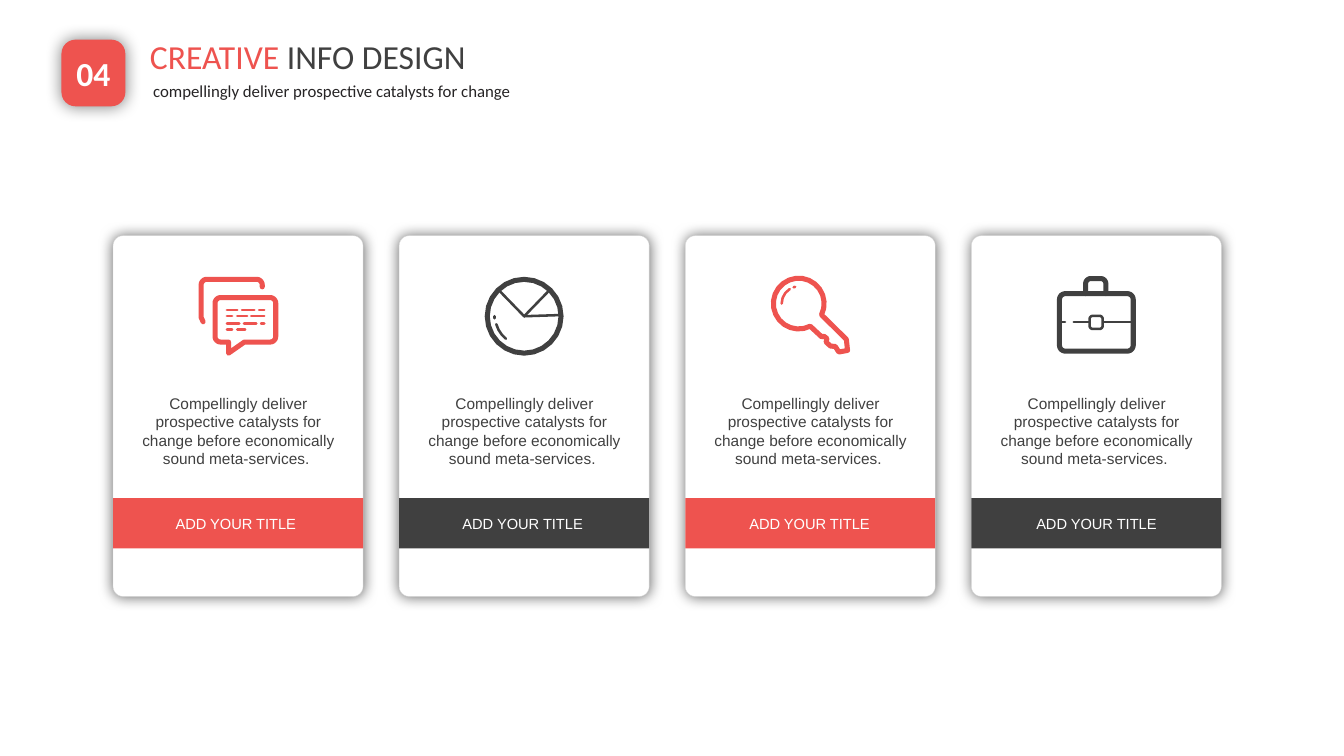
from math import cos, sin, radians
from lxml.etree import SubElement
from pptx import Presentation
from pptx.dml.color import RGBColor
from pptx.enum.shapes import MSO_SHAPE
from pptx.enum.text import MSO_ANCHOR, PP_ALIGN
from pptx.oxml.ns import qn
from pptx.util import Cm, Pt

COLORS = {
    "red": "EE534F",
    "dark": "404040",
    "ink": "262425",
    "white": "FFFFFF",
    "edge": "D9D9D9",
    "shadow": "000000",
}
RGB = {name: RGBColor.from_string(value) for name, value in COLORS.items()}
BOLD, THIN = 3.6, 1.8
CARD_X, CARD_Y, CARD_W, CARD_H, PITCH = 2.85, 5.94, 6.3, 9.09, 7.21
ICON_X, ICON_Y = 2.16, 6.98


def arc(cx, cy, r, start, end):
    steps = max(3, abs(end - start) // 15)
    angles = [radians(start + (end - start) * k / steps) for k in range(steps + 1)]
    return [(cx + r * cos(a), cy + r * sin(a)) for a in angles]


def add_text(box, runs, size, font, align, anchor=MSO_ANCHOR.TOP, wrap=True):
    tf = s.shapes.add_textbox(*[Cm(v) for v in box]).text_frame
    tf.word_wrap = wrap
    tf.vertical_anchor = anchor
    p = tf.paragraphs[0]
    p.alignment = align
    for text, color in runs:
        r = p.add_run()
        r.text = text
        r.font.size = Pt(size)
        r.font.name = font
        r.font.color.rgb = RGB[color]


chat_bold = [
    ([(0.11, 1.13), (0.06, 1.02)] + arc(0.2, 0.2, 0.14, 180, 270)
     + arc(1.46, 0.2, 0.14, 270, 360) + [(1.6, 0.25)], False),
    (arc(0.55, 0.66, 0.14, 180, 270) + arc(1.8, 0.66, 0.14, 270, 360)
     + arc(1.8, 1.5, 0.14, 0, 90) + [(1.15, 1.64), (0.75, 1.92), (0.75, 1.64)]
     + arc(0.55, 1.5, 0.14, 90, 180), True),
]
chat_rows = [
    (0.83, [(0.71, 0.97), (1.09, 1.4), (1.52, 1.65)]),
    (0.98, [(0.71, 0.84), (0.97, 1.22), (1.32, 1.65)]),
    (1.17, [(0.71, 1.02), (1.14, 1.45), (1.57, 1.65)]),
    (1.32, [(0.71, 0.84), (0.97, 1.17)]),
]
chat_thin = [([(x1, y), (x2, y)], False) for y, dashes in chat_rows for x1, x2 in dashes]

pie_bold = [(arc(0.99, 0.99, 0.93, 0, 345), True)]
pie_thin = [
    ([(0.36, 0.34), (0.99, 0.99), (1.62, 0.34)], False),
    ([(0.99, 0.99), (1.9, 0.96)], False),
    (arc(0.99, 0.99, 0.73, 129, 164), False),
    ([(0.24, 0.99), (0.24, 1.04)], False),
]

key_bold = [
    (arc(0.7, 0.67, 0.64, 63, 386)
     + [(1.29, 0.97), (1.9, 1.57), (1.93, 1.85), (1.71, 1.89), (1.62, 1.75),
        (1.5, 1.74), (1.39, 1.64), (1.41, 1.55), (1.33, 1.49), (1.28, 1.51)], True),
]
key_thin = [
    (arc(0.7, 0.67, 0.43, 180, 238), False),
    ([(0.57, 0.26), (0.61, 0.25)], False),
]

case_bold = [
    ([(0.72, 0.42)] + arc(0.85, 0.17, 0.13, 180, 270)
     + arc(1.1, 0.17, 0.13, 270, 360) + [(1.23, 0.42)], False),
    (arc(0.21, 0.57, 0.15, 180, 270) + arc(1.77, 0.57, 0.15, 270, 360)
     + arc(1.77, 1.72, 0.15, 0, 90) + arc(0.21, 1.72, 0.15, 90, 180), True),
]
case_thin = [
    (arc(0.9, 1.06, 0.08, 180, 270) + arc(1.07, 1.06, 0.08, 270, 360)
     + arc(1.07, 1.23, 0.08, 0, 90) + arc(0.9, 1.23, 0.08, 90, 180), True),
]
case_thin += [([(x1, 1.13), (x2, 1.13)], False)
              for x1, x2 in [(0.1, 0.2), (0.42, 0.8), (1.17, 1.85)]]

cards = [
    ("red", chat_bold, chat_thin),
    ("dark", pie_bold, pie_thin),
    ("red", key_bold, key_thin),
    ("dark", case_bold, case_thin),
]

prs = Presentation()
prs.slide_width, prs.slide_height = Cm(33.87), Cm(19.05)
s = prs.slides.add_slide(prs.slide_layouts[6])

panels = [(CARD_X + i * PITCH, CARD_Y, CARD_W, CARD_H, 0.04, "white", 10)
          for i in range(len(cards))]
panels.append((1.55, 1, 1.61, 1.68, 0.22, "red", 12))
for x, y, w, h, adj, fill, blur in panels:
    sp = s.shapes.add_shape(MSO_SHAPE.ROUNDED_RECTANGLE, Cm(x), Cm(y), Cm(w), Cm(h))
    sp.adjustments[0] = adj
    sp.fill.solid()
    sp.fill.fore_color.rgb = RGB[fill]
    if fill == "white":
        sp.line.color.rgb = RGB["edge"]
        sp.line.width = Pt(0.25)
    else:
        sp.line.fill.background()
    sp.shadow.inherit = False
    effects = sp.element.spPr.find(qn("a:effectLst"))
    shadow = SubElement(effects, qn("a:outerShdw"), blurRad=str(Pt(blur)), dist="0",
                        dir="0", algn="ctr", rotWithShape="0")
    tint = SubElement(shadow, qn("a:srgbClr"), val=COLORS["shadow"])
    SubElement(tint, qn("a:alpha"), val="60000" if fill == "white" else "50000")

badge = sp
tf = badge.text_frame
tf.margin_left = tf.margin_right = 0
tf.vertical_anchor = MSO_ANCHOR.MIDDLE
p = tf.paragraphs[0]
p.alignment = PP_ALIGN.CENTER
r = p.add_run()
r.text = "04"
r.font.size = Pt(24)
r.font.name = "Calibri"
r.font.bold = True
r.font.color.rgb = RGB["white"]

add_text((3.53, 0.53, 9.14, 1.78), [("CREATIVE", "red"), (" INFO DESIGN", "dark")],
         24, "Calibri", PP_ALIGN.LEFT, MSO_ANCHOR.MIDDLE)
add_text((3.61, 1.91, 10.16, 0.76),
         [("compellingly deliver prospective catalysts for change", "ink")],
         12, "Calibri", PP_ALIGN.JUSTIFY)

for i, (color, bold, thin) in enumerate(cards):
    left = CARD_X + i * PITCH
    band = s.shapes.add_shape(MSO_SHAPE.RECTANGLE, Cm(left), Cm(12.55), Cm(CARD_W), Cm(1.27))
    band.fill.solid()
    band.fill.fore_color.rgb = RGB[color]
    band.line.fill.background()
    band.shadow.inherit = False

    for strokes, width in [(bold, BOLD), (thin, THIN)]:
        builder = None
        for points, closed in strokes:
            pts = [(Cm(left + ICON_X + x), Cm(ICON_Y + y)) for x, y in points]
            if builder is None:
                builder = s.shapes.build_freeform(*pts[0])
            else:
                builder.move_to(*pts[0])
            builder.add_line_segments(pts[1:], close=closed)
        icon = builder.convert_to_shape()
        icon.fill.background()
        icon.line.color.rgb = RGB[color]
        icon.line.width = Pt(width)
        icon.shadow.inherit = False
        ln = icon.element.spPr.find(qn("a:ln"))
        ln.set("cap", "rnd")
        SubElement(ln, qn("a:round"))

    add_text((left + 0.3, 9.8, 5.72, 2.13),
             [("Compellingly deliver prospective catalysts for change before "
               "economically sound meta-services. ", "dark")],
             11, "Arial", PP_ALIGN.CENTER)
    add_text((left + 1.29 + 0.02 * i, 12.85, 3.71, 0.71), [("ADD YOUR TITLE ", "white")],
             10.5, "Arial", PP_ALIGN.CENTER, wrap=False)

prs.save("out.pptx")
